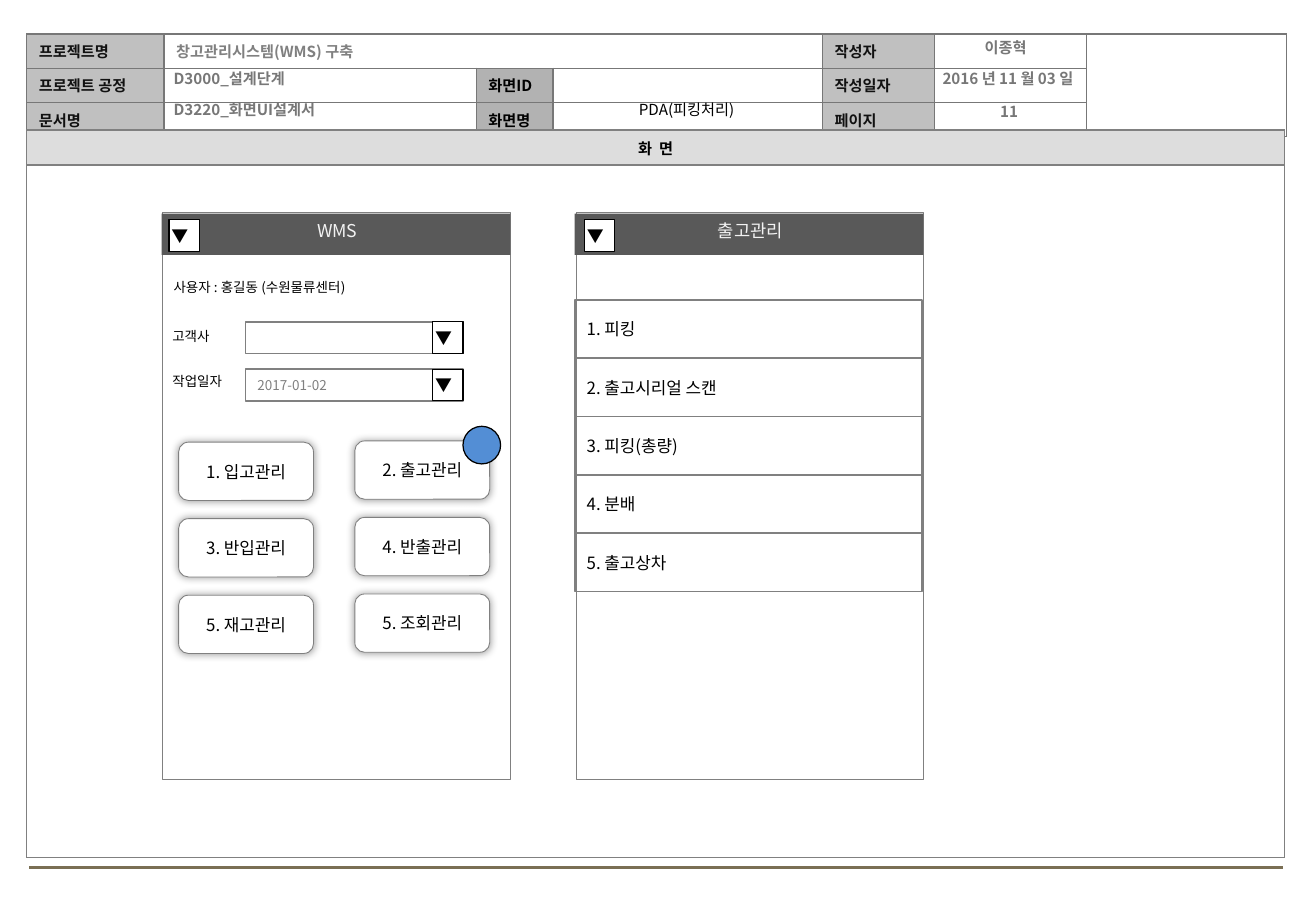
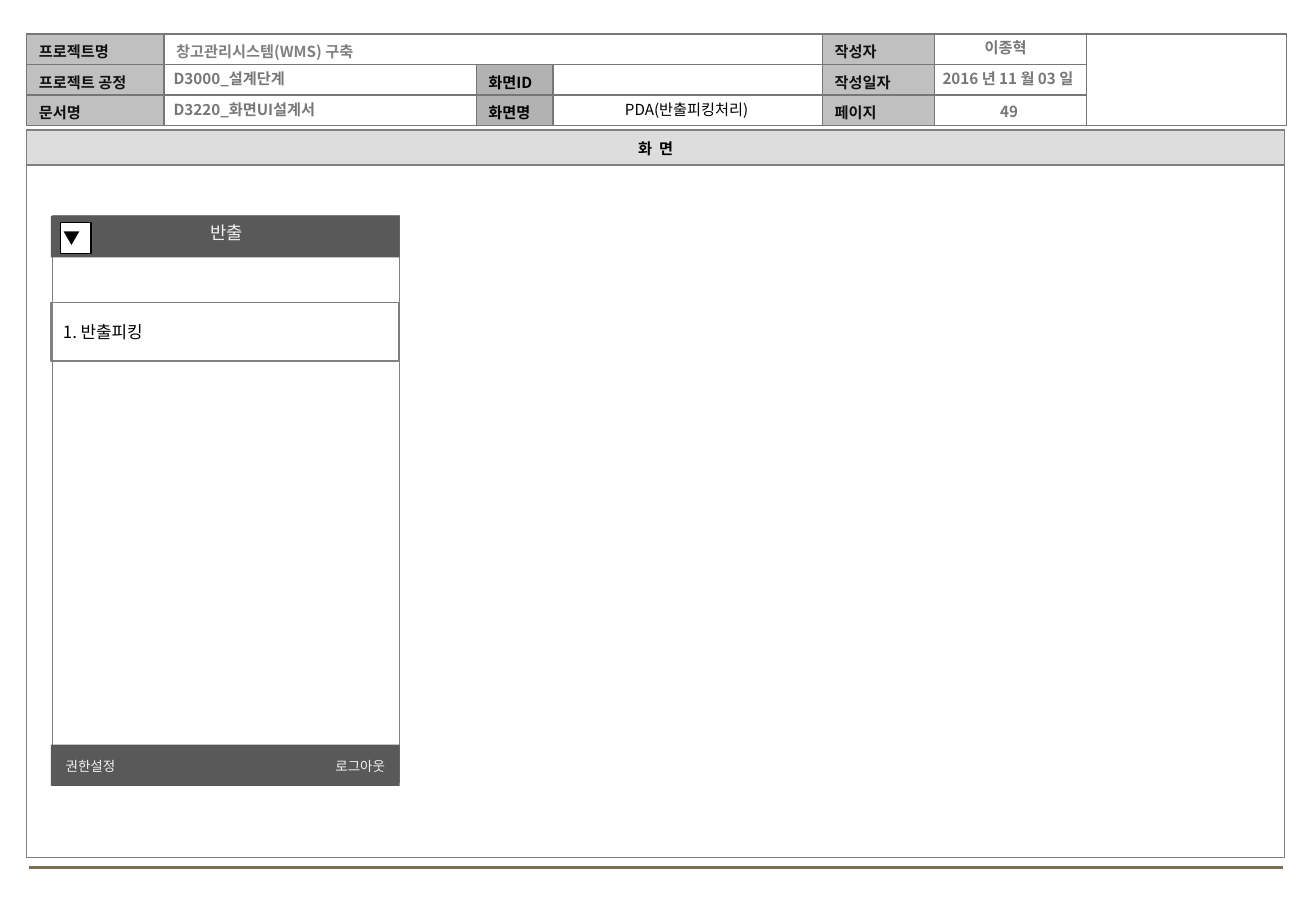
import dataclasses
import itertools
from typing import Any, Optional

import lxml.etree
import pptx
import pptx.dml.color
import pptx.enum.shapes
import pptx.enum.text
import pptx.oxml.ns
import pptx.slide
import pptx.util

Inches = pptx.util.Inches
Pt = pptx.util.Pt
RGBColor = pptx.dml.color.RGBColor
Shape = pptx.enum.shapes.MSO_SHAPE
Align = pptx.enum.text.PP_ALIGN
Anchor = pptx.enum.text.MSO_ANCHOR
qn = pptx.oxml.ns.qn

FONT = "Noto Sans CJK KR"
BLACK = RGBColor(0x00, 0x00, 0x00)
WHITE = RGBColor(0xFF, 0xFF, 0xFF)
LABEL_INK = RGBColor(0x11, 0x11, 0x11)
VALUE_INK = RGBColor(0x77, 0x77, 0x77)
GRAY = RGBColor(0x80, 0x80, 0x80)
LABEL_FILL = RGBColor(0xC0, 0xC0, 0xC0)
SCREEN_FILL = RGBColor(0xB2, 0xB2, 0xB2)
HEADING_FILL = RGBColor(0xDD, 0xDD, 0xDD)
BAR_FILL = RGBColor(0x59, 0x59, 0x59)
BAR_INK = RGBColor(0xF2, 0xF2, 0xF2)
MARKER_FILL = RGBColor(0x53, 0x8E, 0xD5)
FOOTER_LINE = RGBColor(0x7A, 0x6F, 0x54)

PROJECT_COLUMNS = (1.13, 2.57, 0.63, 2.22, 0.92, 1.25, 1.65)
PHONE_WIDTH, PHONE_HEIGHT, BAR_HEIGHT = 2.86, 4.67, 0.34
ITEM_HEIGHT = 0.48


@dataclasses.dataclass(frozen=True)
class Label:
    row: int
    column: int
    text: str
    fill: Optional[RGBColor] = LABEL_FILL
    ink: RGBColor = LABEL_INK


@dataclasses.dataclass(frozen=True)
class Page:
    screen: str
    number: str
    row_height: float


@dataclasses.dataclass(frozen=True)
class Phone:
    left: float
    top: float
    title: str
    items: tuple[str, ...] = ()
    toggle_x: float = 0.08


LABELS = (
    Label(0, 0, "프로젝트명"),
    Label(0, 1, "창고관리시스템(WMS) 구축", None, GRAY),
    Label(0, 4, "작성자"),
    Label(1, 0, "프로젝트 공정"),
    Label(1, 2, "화면ID", SCREEN_FILL, BLACK),
    Label(1, 4, "작성일자"),
    Label(2, 0, "문서명"),
    Label(2, 2, "화면명", SCREEN_FILL, BLACK),
    Label(2, 4, "페이지"),
)


def write(frame: Any, text: str, *, size: float = 9, ink: RGBColor = BLACK, bold: bool = False,
          align: Align = Align.LEFT, space_percent: int = 0) -> None:
    """Write one formatted paragraph into a text frame."""
    paragraph = frame.paragraphs[0]
    paragraph.alignment = align
    if space_percent:
        before = lxml.etree.SubElement(paragraph._p.get_or_add_pPr(), qn("a:spcBef"))
        lxml.etree.SubElement(before, qn("a:spcPct"), val=str(space_percent * 1000))
    run = paragraph.add_run()
    run.text = text
    run.font.size = Pt(size)
    run.font.bold = bold
    run.font.color.rgb = ink
    run.font.name = FONT
    lxml.etree.SubElement(run.font._element, qn("a:ea"), typeface=FONT)


def add_text(slide: pptx.slide.Slide, left: float, top: float, width: float, text: str, *,
             height: float = 0.25, wrap: bool = True, **style: Any) -> None:
    box = slide.shapes.add_textbox(Inches(left), Inches(top), Inches(width), Inches(height))
    box.text_frame.word_wrap = wrap
    box.text_frame.auto_size = pptx.enum.text.MSO_AUTO_SIZE.SHAPE_TO_FIT_TEXT
    write(box.text_frame, text, **style)


def add_box(slide: pptx.slide.Slide, left: float, top: float, width: float, height: float, *,
            kind: Shape = Shape.RECTANGLE, fill: Optional[RGBColor] = None,
            line: Optional[RGBColor] = GRAY, weight: float = 1, text: str = "", **style: Any) -> Any:
    box = slide.shapes.add_shape(kind, Inches(left), Inches(top), Inches(width), Inches(height))
    box.shadow.inherit = False
    if fill is None:
        box.fill.background()
    else:
        box.fill.solid()
        box.fill.fore_color.rgb = fill
    if line is None:
        box.line.fill.background()
    else:
        box.line.color.rgb = line
        box.line.width = Pt(weight)
    if text:
        box.text_frame.vertical_anchor = Anchor.MIDDLE
        write(box.text_frame, text, **style)
    return box


def add_grid(slide: pptx.slide.Slide, left: float, top: float, columns: tuple[float, ...],
             rows: tuple[float, ...], border: RGBColor) -> Any:
    """Add a plain table with bordered, unfilled cells."""
    table = slide.shapes.add_table(len(rows), len(columns), Inches(left), Inches(top),
                                   Inches(sum(columns)), Inches(sum(rows))).table
    table.first_row = table.horz_banding = False
    for column, width in zip(table.columns, columns):
        column.width = Inches(width)
    for row, height in zip(table.rows, rows):
        row.height = Inches(height)
    for cell in table.iter_cells():
        cell.vertical_anchor = Anchor.MIDDLE
        cell.margin_top = cell.margin_bottom = 0
        for side in ("a:lnL", "a:lnR", "a:lnT", "a:lnB"):
            edge = lxml.etree.SubElement(cell._tc.get_or_add_tcPr(), qn(side), w=str(Pt(1)))
            paint = lxml.etree.SubElement(edge, qn("a:solidFill"))
            lxml.etree.SubElement(paint, qn("a:srgbClr"), val=str(border))
        cell.fill.background()
        # Small end mark keeps empty cells from stretching their row
        lxml.etree.SubElement(cell.text_frame.paragraphs[0]._p, qn("a:endParaRPr"), sz="900")
    return table


def fill_cell(cell: Any, text: str, fill: Optional[RGBColor], **style: Any) -> None:
    if fill is not None:
        cell.fill.solid()
        cell.fill.fore_color.rgb = fill
    write(cell.text_frame, text, bold=True, space_percent=20, **style)


def draw_page(slide: pptx.slide.Slide, page: Page) -> None:
    """Draw the project header, the screen area and the footer line."""
    # Footer line
    footer = slide.shapes.add_connector(pptx.enum.shapes.MSO_CONNECTOR.STRAIGHT,
                                        Inches(0.24), Inches(7.14), Inches(10.56), Inches(7.14))
    footer.line.color.rgb = FOOTER_LINE
    footer.line.width = Pt(1.75)
    lxml.etree.SubElement(footer._element.spPr, qn("a:effectLst"))

    # Project table
    project = add_grid(slide, 0.22, 0.28, PROJECT_COLUMNS, (page.row_height,) * 3, VALUE_INK)
    project.cell(0, 1).merge(project.cell(0, 3))
    project.cell(0, 6).merge(project.cell(2, 6))
    for label in LABELS:
        cell = project.cell(label.row, label.column)
        cell.margin_top = Inches(0.05)
        cell.margin_bottom = Inches(page.row_height - 0.23)
        fill_cell(cell, label.text, label.fill, ink=label.ink)
    for top, text in ((0.52, "D3000_설계단계"), (0.78, "D3220_화면UI설계서")):
        add_text(slide, 1.33, top, 5.42, text, ink=VALUE_INK, bold=True, space_percent=50)

    # Screen area
    screen = add_grid(slide, 0.22, 1.07, (10.35,), (0.29, 5.7), GRAY)
    fill_cell(screen.cell(0, 0), "화  면", HEADING_FILL, align=Align.CENTER)

    # Header values
    add_text(slide, 7.68, 0.79, 1.25, page.number, ink=VALUE_INK, bold=True, align=Align.CENTER)
    add_text(slide, 4.56, 0.78, 2.18, page.screen, align=Align.CENTER)
    for left, top, text in ((7.51, 0.52, "2016 년 11 월 03 일"), (7.49, 0.27, "이종혁")):
        add_text(slide, left, top, 1.57, text, ink=VALUE_INK, bold=True,
                 align=Align.CENTER, space_percent=50)


def draw_toggle(slide: pptx.slide.Slide, left: float, top: float) -> None:
    toggle = add_box(slide, left, top, 0.25, 0.26, fill=WHITE, line=BLACK, weight=0.75,
                     text="▼", size=10)
    frame = toggle.text_frame
    frame.word_wrap = False
    frame.margin_left = frame.margin_right = Inches(0.02)
    frame.margin_top = frame.margin_bottom = Inches(0.04)


def draw_bar(slide: pptx.slide.Slide, left: float, top: float) -> None:
    add_box(slide, left, top, PHONE_WIDTH + 0.01, BAR_HEIGHT, fill=BAR_FILL, line=None)


def draw_phone(slide: pptx.slide.Slide, phone: Phone) -> None:
    add_box(slide, phone.left + 0.01, phone.top - 0.01, PHONE_WIDTH, PHONE_HEIGHT,
            kind=Shape.FLOWCHART_PROCESS, fill=WHITE, weight=0.5)
    draw_bar(slide, phone.left, phone.top)
    add_text(slide, phone.left + 0.02, phone.top, 2.85, phone.title, height=0.28,
             size=10.5, ink=BAR_INK, align=Align.CENTER)
    for index, item in enumerate(phone.items):
        add_box(slide, phone.left, phone.top + 0.71 + index * ITEM_HEIGHT,
                PHONE_WIDTH, ITEM_HEIGHT, text=item, size=10)
    draw_toggle(slide, phone.left + phone.toggle_x, phone.top + 0.05)


def draw_menu_button(slide: pptx.slide.Slide, left: float, top: float, text: str) -> None:
    button = add_box(slide, left, top, 1.11, 0.48, kind=Shape.ROUNDED_RECTANGLE, fill=WHITE,
                     weight=0.5, text=text, size=10, align=Align.CENTER)
    effects = button._element.spPr.find(qn("a:effectLst"))
    glow = lxml.etree.SubElement(effects, qn("a:outerShdw"), blurRad=str(Pt(5)), dist="0",
                                 dir="0", algn="ctr", rotWithShape="0")
    color = lxml.etree.SubElement(glow, qn("a:srgbClr"), val=str(BLACK))
    lxml.etree.SubElement(color, qn("a:alpha"), val="40000")


def draw_picking(slide: pptx.slide.Slide) -> None:
    draw_page(slide, Page("PDA(피킹처리)", "11", 0.28))
    draw_phone(slide, Phone(4.73, 1.76, "출고관리", (
        "1. 피킹", "2. 출고시리얼 스캔", "3. 피킹(총량)", "4. 분배", "5. 출고상차")))
    draw_phone(slide, Phone(1.33, 1.76, "WMS", toggle_x=0.06))

    # User, customer and work date
    for left, top, width, text in ((1.33, 2.25, 1.8, "사용자 : 홍길동 (수원물류센터)"),
                                   (1.32, 2.65, 0.54, "고객사"),
                                   (1.32, 3.02, 0.65, "작업일자")):
        add_text(slide, left, top, width, text, height=0.24, wrap=False, size=8)
    for top, value in ((2.65, ""), (3.04, "2017-01-02")):
        add_box(slide, 2.02, top, 1.79, 0.26, text=value, size=8, ink=GRAY)
        draw_toggle(slide, 3.56, top)

    # Main menu buttons
    buttons = ("1. 입고관리", "2. 출고관리", "3. 반입관리", "4. 반출관리", "5. 재고관리", "5. 조회관리")
    for (row, column), text in zip(itertools.product(range(3), range(2)), buttons):
        draw_menu_button(slide, 1.47 + column * 1.45, 3.64 + row * 0.63 - column * 0.01, text)
    add_box(slide, 3.81, 3.51, 0.31, 0.31, kind=Shape.OVAL, fill=MARKER_FILL,
            line=BLACK, weight=0.75)


def draw_return_picking(slide: pptx.slide.Slide) -> None:
    draw_page(slide, Page("PDA(반출피킹처리)", "49", 0.25))
    draw_phone(slide, Phone(0.42, 1.78, "반출", ("1. 반출피킹",)))

    # Bottom bar
    draw_bar(slide, 0.42, 6.13)
    for left, text in ((0.42, "권한설정"), (2.64, "로그아웃")):
        add_text(slide, left, 6.19, 0.65, text, height=0.24, wrap=False, size=8,
                 ink=BAR_INK, align=Align.CENTER)


def main() -> None:
    deck = pptx.Presentation()
    deck.slide_width, deck.slide_height = Inches(10.83), Inches(7.5)
    blank = deck.slide_layouts[6]
    for draw in (draw_picking, draw_return_picking):
        draw(deck.slides.add_slide(blank))
    deck.save("out.pptx")


if __name__ == "__main__":
    main()
